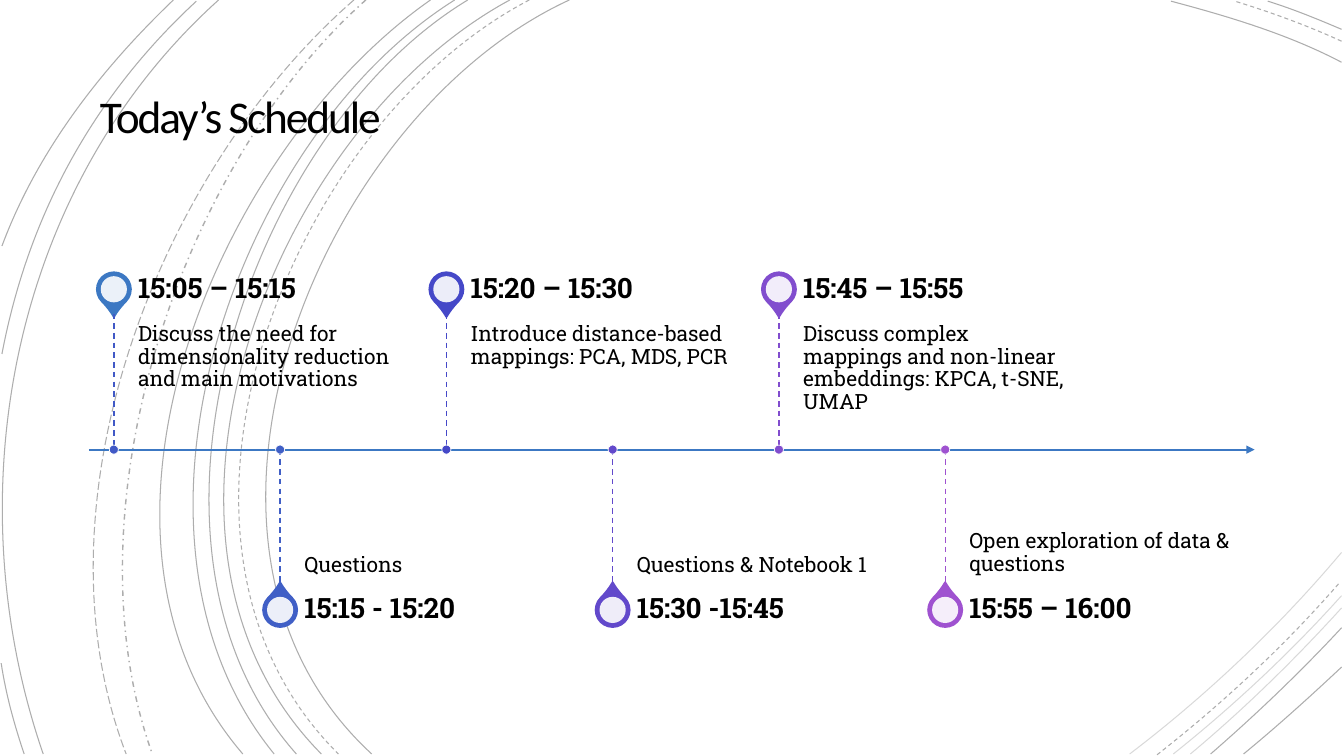
from dataclasses import dataclass
from typing import Any, Optional

from lxml.etree import SubElement
from pptx import Presentation
from pptx.dml.color import RGBColor
from pptx.enum.dml import MSO_LINE
from pptx.enum.shapes import MSO_CONNECTOR, MSO_SHAPE
from pptx.enum.text import MSO_ANCHOR
from pptx.oxml.ns import qn
from pptx.util import Cm, Pt


@dataclass(frozen=True)
class Theme:
    ink: str = "000000"
    paper: str = "FFFFFF"
    axis: str = "3C78C3"
    heading_font: str = "Calibri"
    body_font: str = "Roboto Slab"
    heading_size: float = 32.4
    time_size: float = 20
    detail_size: float = 15


@dataclass(frozen=True)
class Arc:
    points: tuple[tuple[float, float], ...]
    dash: MSO_LINE = MSO_LINE.SOLID
    width: float = 0.75
    front_only: bool = False


@dataclass(frozen=True)
class Session:
    time: str
    detail: str
    color: str
    pin_color: str


T = Theme()

ARCS = [
    Arc(((14.35, 0), (8, 2.92), (3.63, 13.72), (9.37, 19))),
    Arc(((33.81, 1.57), (32.46, 0.86), (30.94, 0.41), (29.51, 0.03))),
    Arc(((28.47, 19), (30.4, 17.53), (32.23, 15.8), (33.81, 13.92)), front_only=True),
    Arc(((13.34, 0), (7.24, 3.18), (3.12, 13.64), (8.53, 19)), MSO_LINE.DASH),
    Arc(((33.81, 1.04), (32.94, 0.64), (32, 0.3), (31.12, 0.03)), MSO_LINE.DASH),
    Arc(((29.16, 19.02), (30.81, 17.73), (32.39, 16.26), (33.78, 14.66)), MSO_LINE.DASH),
    Arc(((12.85, 0), (6.86, 3.23), (2.79, 13.64), (8.1, 19))),
    Arc(((33.81, 0.74), (33.2, 0.48), (32.59, 0.23), (31.95, 0.03))),
    Arc(((29.57, 19), (31.06, 17.81), (32.51, 16.46), (33.81, 15.01)), front_only=True),
    Arc(((11.79, 0), (6.2, 3.38), (2.79, 13.74), (7.47, 19))),
    Arc(((30, 19), (31.34, 17.88), (32.61, 16.64), (33.81, 15.32)), front_only=True),
    Arc(((11.46, 0), (5.87, 3.51), (2.46, 13.54), (6.91, 19))),
    Arc(((30.51, 19), (31.65, 18.01), (32.77, 16.94), (33.81, 15.82))),
    Arc(((10.85, 0), (5.51, 3.73), (1.35, 13.44), (6.12, 19))),
    Arc(((31.34, 19), (32.18, 18.31), (32.99, 17.58), (33.81, 16.81))),
    Arc(((9.22, 0), (4.47, 4.22), (1.65, 12.93), (3.84, 19)), MSO_LINE.DASH_DOT, 1),
    Arc(((8.92, 0), (3.99, 4.29), (0.74, 12.67), (3.18, 19)), MSO_LINE.LONG_DASH),
    Arc(((5.51, 0), (0.28, 4.7), (-1.17, 12.45), (1.09, 19))),
    Arc(((4.95, 0.03), (2.34, 2.44), (0.71, 5.44), (0.05, 8.92))),
    Arc(((0.03, 16.71), (0.15, 17.5), (0.36, 18.26), (0.61, 19))),
    Arc(((4.37, 0), (2.54, 1.75), (0.94, 3.81), (0.05, 6.2))),
]

SESSIONS = [
    Session("15:05 – 15:15", "Discuss the need for dimensionality reduction and main motivations",
            "4159C6", "3C78C3"),
    Session("15:15 - 15:20", "Questions", "405FC6", "405FC6"),
    Session("15:20 – 15:30", "Introduce distance-based mappings: PCA, MDS, PCR",
            "4548C8", "4548C8"),
    Session("15:30 -15:45", "Questions & Notebook 1", "6249CB", "6249CB"),
    Session("15:45 – 15:55",
            "Discuss complex mappings and non-linear embeddings: KPCA, t-SNE, UMAP",
            "814DCE", "814DCE"),
    Session("15:55 – 16:00", "Open exploration of data & questions", "9F52D0", "9F52D0"),
]

AXIS_Y, AXIS_START, AXIS_END = 11.33, 2.24, 31.62
FIRST_X, STEP = 2.87, 4.19
STEM, PIN_OFFSET = 3.43, 4.04
PIN, DISC, DOT = 0.86, 0.66, 0.23
TEXT_GAP, TEXT_W, TIME_H = 0.61, 6.99, 1.19


def set_alpha(fill_parent: Any, percent: int) -> None:
    color = fill_parent.find(".//" + qn("a:srgbClr"))
    SubElement(color, qn("a:alpha")).set("val", str(percent * 1000))


def add_arc(shapes: Any, arc: Arc, alpha: int) -> None:
    start, *rest = [(Cm(x), Cm(y)) for x, y in arc.points]
    fb = shapes.build_freeform(*start)
    fb.add_line_segments(rest, close=False)
    sp = fb.convert_to_shape()
    sp.shadow.inherit = False
    sp.fill.background()
    sp.line.color.rgb = RGBColor.from_string(T.ink)
    sp.line.width = Pt(arc.width)
    sp.line.dash_style = arc.dash
    set_alpha(sp.line._get_or_add_ln(), alpha)
    outline = sp._element.find(".//" + qn("a:path"))
    segments = outline.findall(qn("a:lnTo"))
    curve = SubElement(outline, qn("a:cubicBezTo"))
    for segment in segments:
        curve.append(segment[0])
        outline.remove(segment)


def add_mark(shapes: Any, kind: MSO_SHAPE, x: float, y: float, size: float, fill: str,
             line: Optional[str] = None, width: float = 0) -> Any:
    sp = shapes.add_shape(kind, Cm(x - size / 2), Cm(y - size / 2), Cm(size), Cm(size))
    sp.shadow.inherit = False
    sp.fill.solid()
    sp.fill.fore_color.rgb = RGBColor.from_string(fill)
    if line:
        sp.line.color.rgb = RGBColor.from_string(line)
        sp.line.width = Pt(width)
    else:
        sp.line.fill.background()
    return sp


def add_line(shapes: Any, x1: float, y1: float, x2: float, y2: float,
             color: str, width: float) -> Any:
    cx = shapes.add_connector(MSO_CONNECTOR.STRAIGHT, Cm(x1), Cm(y1), Cm(x2), Cm(y2))
    cx.line.color.rgb = RGBColor.from_string(color)
    cx.line.width = Pt(width)
    SubElement(cx._element.spPr, qn("a:effectLst"))
    return cx


def add_text(shapes: Any, box: tuple[float, float, float, float], text: str, size: float,
             font: str, anchor: MSO_ANCHOR, insets: tuple[float, float, float, float],
             spacing: float = 0.9, bold: bool = False) -> Any:
    tf = shapes.add_textbox(*[Cm(v) for v in box]).text_frame
    tf.word_wrap = True
    tf.vertical_anchor = anchor
    tf.margin_left, tf.margin_top, tf.margin_right, tf.margin_bottom = [Cm(v) for v in insets]
    p = tf.paragraphs[0]
    p.line_spacing = spacing
    r = p.add_run()
    r.text = text
    r.font.name = font
    r.font.size = Pt(size)
    r.font.bold = bold
    r.font.color.rgb = RGBColor.from_string(T.ink)
    return r


def add_session(shapes: Any, i: int, item: Session) -> None:
    above = i % 2 == 0
    x = FIRST_X + i * STEP
    pin_y = AXIS_Y + (-PIN_OFFSET if above else PIN_OFFSET)
    stem_top = AXIS_Y - STEM if above else AXIS_Y
    time_top = stem_top - TIME_H if above else stem_top + STEM
    pin = add_mark(shapes, MSO_SHAPE.TEAR, x, pin_y, PIN, item.pin_color, item.pin_color, 1.25)
    pin.adjustments[0] = 1.15
    pin.rotation = 135 if above else 315
    disc = add_mark(shapes, MSO_SHAPE.OVAL, x, pin_y, DISC, T.paper)
    set_alpha(disc._element.spPr, 90)
    add_text(shapes, (x + TEXT_GAP, stem_top, TEXT_W, STEM), item.detail, T.detail_size,
             T.body_font, MSO_ANCHOR.TOP if above else MSO_ANCHOR.BOTTOM,
             (0, 0.25, 0.25, 0.41) if above else (0, 0.41, 0, 0.25))
    add_text(shapes, (x + TEXT_GAP, time_top, TEXT_W, TIME_H), item.time, T.time_size,
             T.body_font, MSO_ANCHOR.MIDDLE, (0, 0, 0.36, 0), bold=True)
    stem = add_line(shapes, x, stem_top, x, stem_top + STEM, item.color, 1)
    stem.line.dash_style = MSO_LINE.DASH
    add_mark(shapes, MSO_SHAPE.OVAL, x, AXIS_Y, DOT, item.color, T.paper, 0.5)


def main() -> None:
    prs = Presentation()
    prs.slide_width, prs.slide_height = Cm(33.87), Cm(19.05)
    s = prs.slides.add_slide(prs.slide_layouts[6])
    s.background.fill.solid()
    s.background.fill.fore_color.rgb = RGBColor.from_string(T.paper)
    for alpha, front in ((20, False), (15, True)):
        layer = s.shapes.add_group_shape().shapes
        for arc in ARCS:
            if front or not arc.front_only:
                add_arc(layer, arc, alpha)
    timeline = s.shapes.add_group_shape().shapes
    axis = add_line(timeline, AXIS_START, AXIS_Y, AXIS_END, AXIS_Y, T.axis, 1.5)
    SubElement(axis.line._get_or_add_ln(), qn("a:tailEnd")).set("type", "triangle")
    for i, item in enumerate(SESSIONS):
        add_session(timeline, i, item)
    r = add_text(s.shapes, (1.88, 1.93, 19.18, 2.34), "Today’s Schedule", T.heading_size,
                 T.heading_font, MSO_ANCHOR.MIDDLE, (0.64,) * 4, 0.65)
    r.font._element.set("spc", "-150")
    prs.save("out.pptx")


if __name__ == "__main__":
    main()
